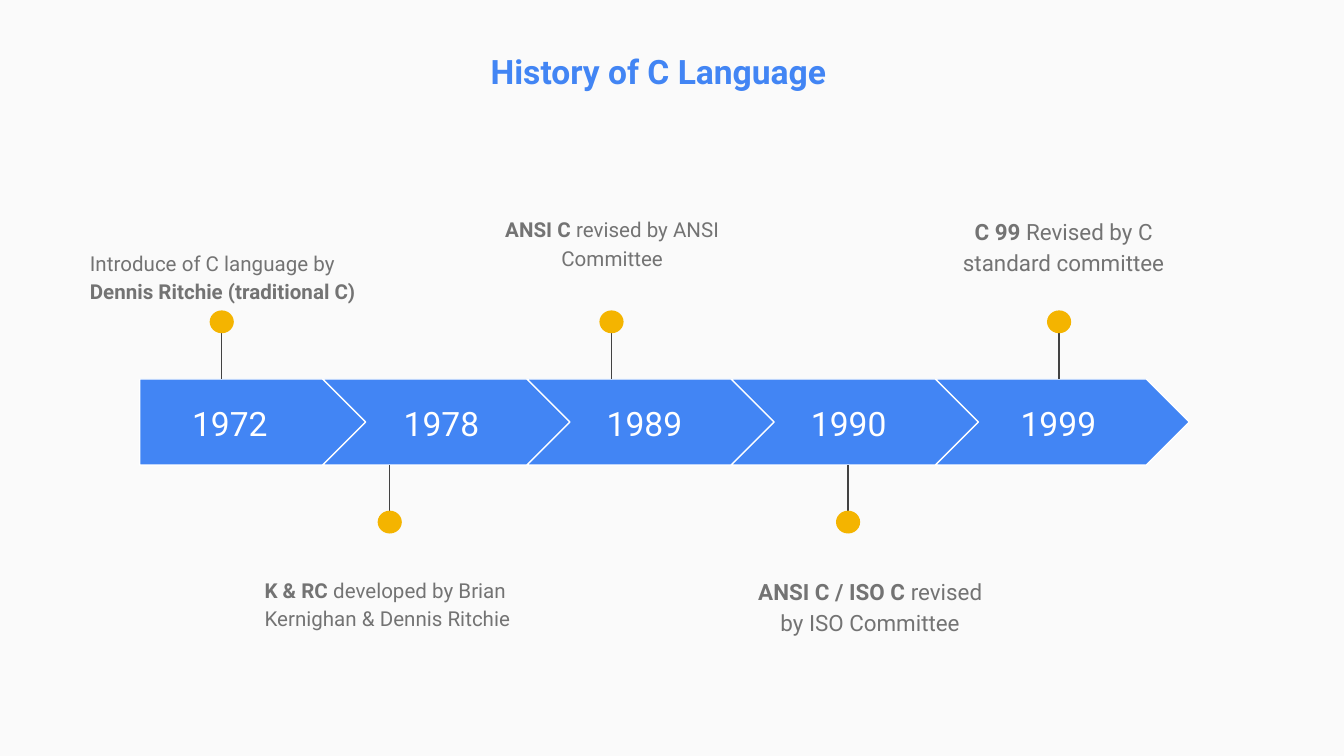
import pptx
import pptx.dml.color
import pptx.enum.shapes
import pptx.enum.text
import pptx.oxml.ns
import pptx.util
from lxml import etree

Inches = pptx.util.Inches
Pt = pptx.util.Pt
RGBColor = pptx.dml.color.RGBColor
MSO_SHAPE = pptx.enum.shapes.MSO_SHAPE
PP_ALIGN = pptx.enum.text.PP_ALIGN
MSO_ANCHOR = pptx.enum.text.MSO_ANCHOR

BACKGROUND = RGBColor(0xFA, 0xFA, 0xFA)
BLUE = RGBColor(0x42, 0x85, 0xF4)
YELLOW = RGBColor(0xF4, 0xB4, 0x00)
WHITE = RGBColor(0xFF, 0xFF, 0xFF)
GREY = RGBColor(0x73, 0x73, 0x73)
DARK_GREY = RGBColor(0x42, 0x42, 0x42)

ARROW_TOP, ARROW_HEIGHT = 2.82, 0.64
ARROW_BOTTOM = ARROW_TOP + ARROW_HEIGHT
FIRST_CHEVRON_LEFT, CHEVRON_PITCH = 2.4, 1.52
STEM_LENGTH = 0.48
DOT_WIDTH, DOT_HEIGHT = 0.18, 0.17


def write_text(shape, runs, size, color, align, anchor):
    """Fill the shape with one paragraph of (text, bold) runs."""
    frame = shape.text_frame
    frame.word_wrap = True
    frame.vertical_anchor = anchor
    frame.margin_left = frame.margin_right = Inches(0.1)
    frame.margin_top = frame.margin_bottom = Inches(0.1)
    paragraph = frame.paragraphs[0]
    paragraph.alignment = align
    for text, bold in runs:
        run = paragraph.add_run()
        run.text = text
        run.font.name = "Roboto"
        run.font.size = Pt(size)
        run.font.bold = bold
        run.font.color.rgb = color
    return paragraph


presentation = pptx.Presentation()
presentation.slide_width = Inches(10)
presentation.slide_height = Inches(10) * 9 // 16
slide = presentation.slides.add_slide(presentation.slide_layouts[5])
slide.background.fill.solid()
slide.background.fill.fore_color.rgb = BACKGROUND

title = slide.shapes.title
title.left, title.top = Inches(2.83), Inches(0.28)
title.width, title.height = Inches(4.14), Inches(0.5)
write_text(title, [("History of C Language", True)], 18, BLUE,
           PP_ALIGN.CENTER, MSO_ANCHOR.TOP)

# year, year box (left, width), stem x, stem above the arrow,
# note box (left, top, width, height), note size, note alignment, note runs
milestones = [
    ("1972", (1.04, 1.34), 1.65, True, (0.57, 1.74, 2.25, 0.58), 11, PP_ALIGN.LEFT,
     [("Introduce of C language by ", False), ("Dennis Ritchie (traditional C)", True)]),
    ("1978", (2.68, 1.21), 2.9, False, (1.87, 4.17, 2.07, 0.78), 11, PP_ALIGN.LEFT,
     [("K & RC", True), (" developed by Brian Kernighan & Dennis Ritchie", False)]),
    ("1989", (4.19, 1.21), 4.55, True, (3.52, 1.49, 2.07, 0.78), 11, PP_ALIGN.CENTER,
     [("ANSI C", True), (" revised by ANSI Committee", False)]),
    ("1990", (5.71, 1.21), 6.31, False, (5.44, 4.17, 2.07, 0.78), 12, PP_ALIGN.CENTER,
     [("ANSI C / ISO C ", True), ("revised by ISO Committee", False)]),
    ("1999", (7.27, 1.21), 7.88, True, (6.88, 1.49, 2.07, 0.78), 12, PP_ALIGN.CENTER,
     [("C 99", True), (" Revised by C standard committee", False)]),
]

for index, (year, year_box, stem_x, above, note_box, note_size, align, runs) in enumerate(milestones):
    if index == 0:
        kind, left, width = MSO_SHAPE.PENTAGON, 1.04, 1.72
    else:
        kind, width = MSO_SHAPE.CHEVRON, 1.89
        left = FIRST_CHEVRON_LEFT + (index - 1) * CHEVRON_PITCH
    arrow = slide.shapes.add_shape(
        kind, Inches(left), Inches(ARROW_TOP), Inches(width), Inches(ARROW_HEIGHT))
    arrow.shadow.inherit = False
    arrow.fill.solid()
    arrow.fill.fore_color.rgb = BLUE
    arrow.line.color.rgb = WHITE
    arrow.line.width = Pt(0.75)

    year_left, year_width = year_box
    year_label = slide.shapes.add_textbox(
        Inches(year_left), Inches(2.94), Inches(year_width), Inches(0.41))
    write_text(year_label, [(year, False)], 18, WHITE, PP_ALIGN.CENTER, MSO_ANCHOR.MIDDLE)

    if above:
        stem_start, stem_end, dot_top = ARROW_TOP - STEM_LENGTH, ARROW_TOP, 2.31
    else:
        stem_start, stem_end, dot_top = ARROW_BOTTOM + STEM_LENGTH, ARROW_BOTTOM, 3.8
    stem = slide.shapes.add_connector(
        pptx.enum.shapes.MSO_CONNECTOR.STRAIGHT,
        Inches(stem_x), Inches(stem_start), Inches(stem_x), Inches(stem_end))
    stem.line.color.rgb = DARK_GREY
    stem.line.width = Pt(0.75)
    etree.SubElement(stem._element.spPr, pptx.oxml.ns.qn("a:effectLst"))

    dot = slide.shapes.add_shape(
        MSO_SHAPE.OVAL, Inches(stem_x - DOT_WIDTH / 2), Inches(dot_top),
        Inches(DOT_WIDTH), Inches(DOT_HEIGHT))
    dot.shadow.inherit = False
    dot.fill.solid()
    dot.fill.fore_color.rgb = YELLOW
    dot.line.fill.background()

    note = slide.shapes.add_textbox(*[Inches(length) for length in note_box])
    paragraph = write_text(note, runs, note_size, GREY, align, MSO_ANCHOR.TOP)
    paragraph.line_spacing = 1.15
    paragraph.space_after = Pt(16)

presentation.save("out.pptx")
